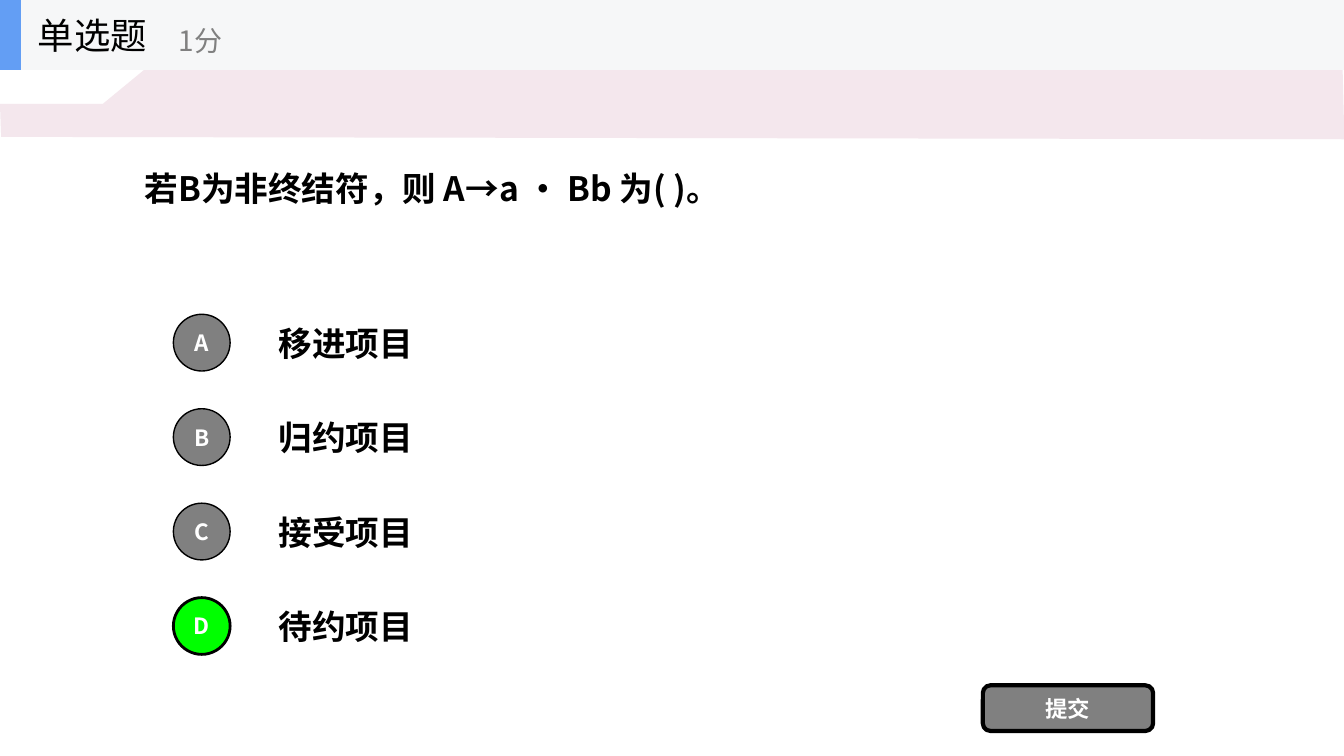
from dataclasses import dataclass

from pptx import Presentation
from pptx.dml.color import RGBColor
from pptx.enum.shapes import MSO_SHAPE as Shape
from pptx.enum.text import MSO_ANCHOR as Anchor, MSO_AUTO_SIZE as AutoSize, PP_ALIGN as Align
from pptx.oxml.ns import qn
from pptx.util import Cm, Pt


@dataclass(frozen=True)
class Theme:
    """Colours, font and type sizes of the quiz slide."""
    font: str = "Noto Sans CJK SC"
    black: str = "000000"
    white: str = "FFFFFF"
    grey: str = "808080"
    correct: str = "00FF00"
    band: str = "F4E7ED"
    header: str = "F6F7F8"
    accent: str = "639EF4"
    heading_size: int = 26
    body_size: int = 24
    score_size: int = 20
    button_size: int = 16


THEME = Theme()
BAND_POINTS = [(0, 2.62), (2.59, 2.62), (4.57, 0.99), (12.7, 0.99),
               (13.31, 1.52), (33.83, 1.5), (33.88, 3.51), (0.03, 3.45)]
OPTIONS = [("A", "移进项目"), ("B", "归约项目"), ("C", "接受项目"), ("D", "待约项目")]
ANSWER = "D"
OPTION_TOP, OPTION_PITCH = 7.75, 2.38
HEADER_HEIGHT = 1.76


def write(sp, text, size, color, bold=True, align=Align.LEFT):
    """Put one formatted, vertically centred paragraph in a shape."""
    tf = sp.text_frame
    frame = {"word_wrap": True, "auto_size": AutoSize.NONE, "vertical_anchor": Anchor.MIDDLE}
    for name, value in frame.items():
        setattr(tf, name, value)
    p = tf.paragraphs[0]
    p.alignment = align
    r = p.add_run()
    r.text = text
    for name, value in {"name": THEME.font, "size": Pt(size), "bold": bold}.items():
        setattr(r.font, name, value)
    r.font.color.rgb = RGBColor.from_string(color)
    ea = r.font._element.makeelement(qn("a:ea"), {"typeface": THEME.font})
    r.font._element.find(qn("a:latin")).addnext(ea)


def paint(sp, fill, line_width=0):
    """Fill a shape flatly, with a black outline if it has a width."""
    sp.shadow.inherit = False
    sp.fill.solid()
    sp.fill.fore_color.rgb = RGBColor.from_string(fill)
    if line_width:
        sp.line.width = Pt(line_width)
        sp.line.color.rgb = RGBColor.from_string(THEME.black)
    else:
        sp.line.fill.background()


def add_block(shapes, kind, box, fill, line_width=0):
    """Add a painted preset shape."""
    sp = shapes.add_shape(kind, *map(Cm, box))
    paint(sp, fill, line_width)
    return sp


def add_label(shapes, box, *args, **kwargs):
    """Add a text box with one formatted paragraph."""
    write(shapes.add_textbox(*map(Cm, box)), *args, **kwargs)


def add_button(shapes, kind, box, text, fill, line_width):
    """Add an outlined button with a centred white caption."""
    sp = add_block(shapes, kind, box, fill, line_width)
    for side in ("left", "right", "top", "bottom"):
        setattr(sp.text_frame, f"margin_{side}", 0)
    write(sp, text, THEME.button_size, THEME.white, align=Align.CENTER)


def add_band(s):
    """Add the tinted band behind everything else."""
    first, *rest = [(Cm(x), Cm(y)) for x, y in BAND_POINTS]
    builder = s.shapes.build_freeform(*first)
    builder.add_line_segments(rest)
    band = builder.convert_to_shape()
    paint(band, THEME.band)
    s.shapes._spTree.insert(2, band._element)


def add_question(s, text):
    """Write the question in the title placeholder."""
    sp = s.shapes.title
    box = {"left": 3.39, "top": 1.76, "width": 27.09, "height": 5.94}
    for name, value in box.items():
        setattr(sp, name, Cm(value))
    write(sp, text, THEME.body_size, THEME.black)


def add_option(s, index, letter, text):
    """Add one answer with its letter button."""
    top = OPTION_TOP + index * OPTION_PITCH
    add_label(s.shapes, (6.77, top, 23.71, 1.78), text, THEME.body_size, THEME.black)
    fill, width = (THEME.correct, 2) if letter == ANSWER else (THEME.grey, 1)
    add_button(s.shapes, Shape.OVAL, (4.37, top + 0.17, 1.43, 1.43), letter, fill, width)


def add_header(s):
    """Add the grouped header bar with question type and score."""
    shapes = s.shapes.add_group_shape().shapes
    for width, fill in ((33.87, THEME.header), (0.53, THEME.accent)):
        add_block(shapes, Shape.RECTANGLE, (0, 0, width, HEADER_HEIGHT), fill)
    add_label(shapes, (0.7, 0, 5.29, HEADER_HEIGHT), "单选题",
              THEME.heading_size, THEME.black, bold=False)
    add_label(shapes, (4.25, 0.31, 6.35, 1.43), "1分",
              THEME.score_size, THEME.grey, bold=False)


def main():
    """Build and save the quiz slide."""
    prs = Presentation()
    prs.slide_width, prs.slide_height = Cm(33.87), Cm(19.05)
    s = prs.slides.add_slide(prs.slide_layouts[5])
    add_band(s)
    add_question(s, "若B为非终结符，则 A→a · Bb 为( )。")
    for index, (letter, text) in enumerate(OPTIONS):
        add_option(s, index, letter, text)
    add_button(s.shapes, Shape.ROUNDED_RECTANGLE, (24.77, 17.27, 4.29, 1.15),
               "提交", THEME.grey, 3)
    add_header(s)
    prs.save("out.pptx")


if __name__ == "__main__":
    main()
